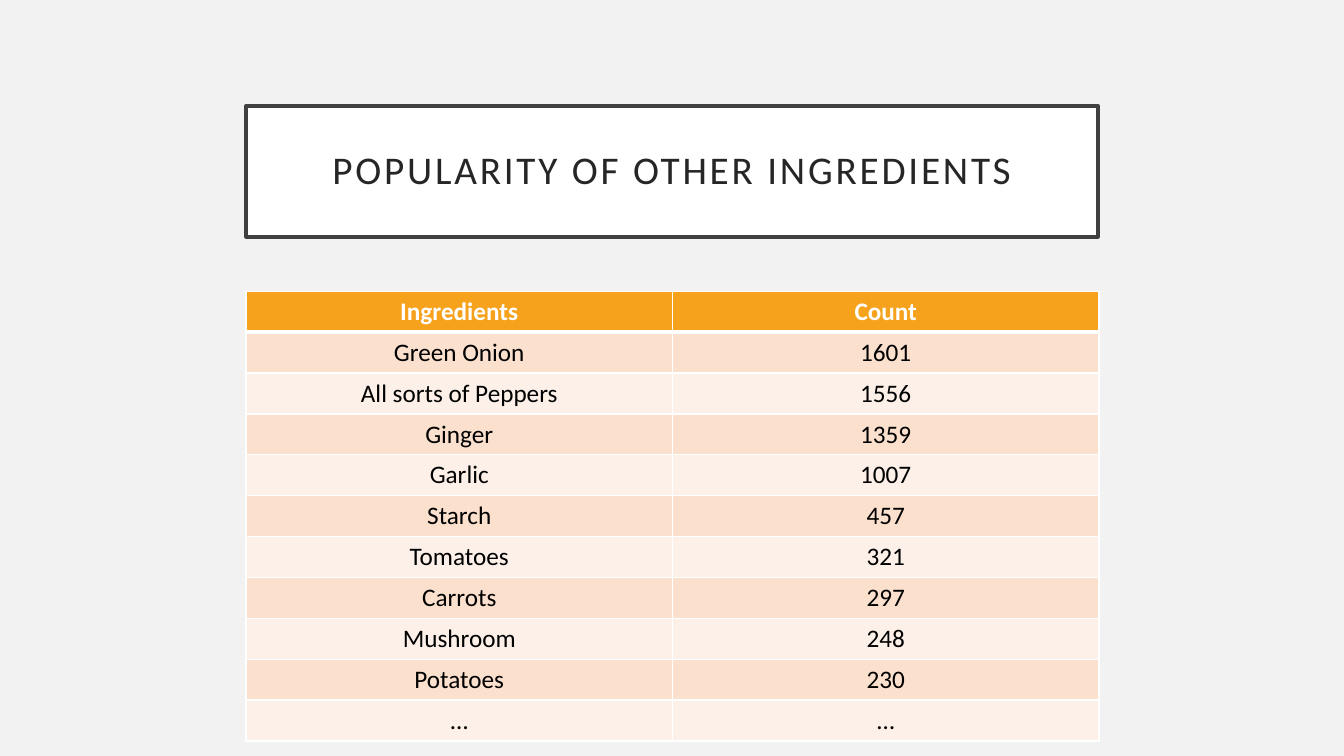
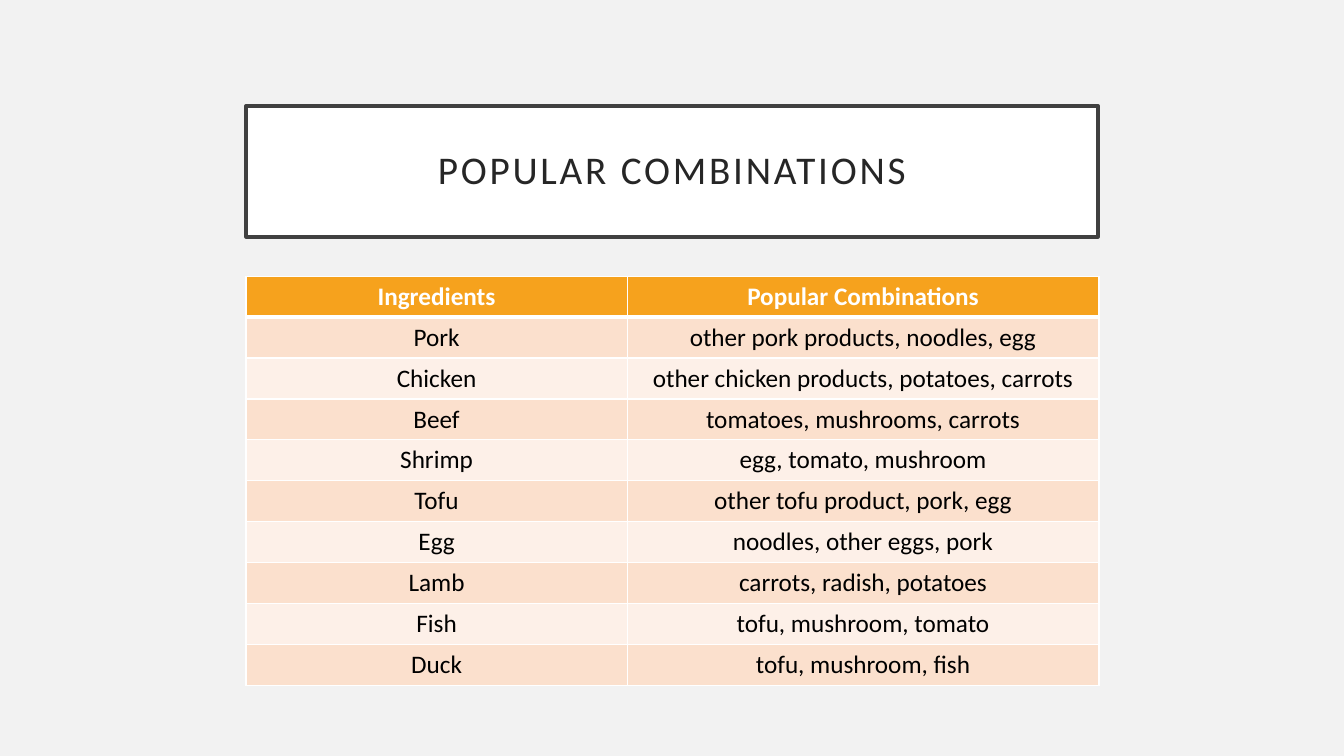
from dataclasses import dataclass

from lxml.etree import SubElement
from pptx import Presentation
from pptx.dml.color import RGBColor
from pptx.enum.shapes import MSO_SHAPE
from pptx.enum.text import MSO_ANCHOR, PP_ALIGN
from pptx.oxml.ns import qn
from pptx.slide import Slide
from pptx.table import _Cell
from pptx.text.text import TextFrame
from pptx.util import Inches, Pt

COLORS = {
    "back": "F2F2F2",
    "white": "FFFFFF",
    "frame": "404040",
    "title": "262626",
    "head": "F6A21D",
    "dark": "FBE0CD",
    "light": "FDF0E8",
    "text": "000000",
}
FONT = "Calibri"
LEFT, WIDTH = 2.44, 8.45


@dataclass
class Page:
    title: str
    top: float
    height: float
    widths: tuple[float, float]
    rows: list[tuple[str, str]]


PAGES = [
    Page("POPULARITY OF OTHER INGREDIENTS", 2.89, 4.46, (4.23, 4.23), [
        ("Ingredients", "Count"),
        ("Green Onion", "1601"),
        ("All sorts of Peppers", "1556"),
        ("Ginger", "1359"),
        ("Garlic", "1007"),
        ("Starch", "457"),
        ("Tomatoes", "321"),
        ("Carrots", "297"),
        ("Mushroom", "248"),
        ("Potatoes", "230"),
        ("…", "…"),
    ]),
    Page("POPULAR COMBINATIONS", 2.74, 4.06, (3.78, 4.68), [
        ("Ingredients", "Popular Combinations"),
        ("Pork", "other pork products, noodles, egg"),
        ("Chicken", "other chicken products, potatoes, carrots"),
        ("Beef", "tomatoes, mushrooms, carrots"),
        ("Shrimp", "egg, tomato, mushroom"),
        ("Tofu", "other tofu product, pork, egg"),
        ("Egg", "noodles, other eggs, pork"),
        ("Lamb", "carrots, radish, potatoes"),
        ("Fish", "tofu, mushroom, tomato"),
        ("Duck", "tofu, mushroom, fish"),
    ]),
]


def tint(name: str) -> RGBColor:
    return RGBColor.from_string(COLORS[name])


def write(frame: TextFrame, text: str, size: int, color: str, bold: bool = False) -> None:
    frame.text = text
    line = frame.paragraphs[0]
    line.alignment = PP_ALIGN.CENTER
    font = line.runs[0].font
    font.name, font.size, font.bold = FONT, Pt(size), bold
    font.color.rgb = tint(color)


def draw_title(slide: Slide, text: str) -> None:
    box = slide.shapes.add_shape(
        MSO_SHAPE.RECTANGLE, Inches(LEFT), Inches(1.05), Inches(WIDTH), Inches(1.3))
    box.shadow.inherit = False
    box.fill.solid()
    box.fill.fore_color.rgb = tint("white")
    box.line.color.rgb = tint("frame")
    box.line.width = Pt(2.5)
    frame = box.text_frame
    frame.word_wrap = True
    frame.vertical_anchor = MSO_ANCHOR.MIDDLE
    frame.margin_left = frame.margin_right = Inches(0.2)
    frame.margin_top = frame.margin_bottom = Inches(0.2)
    write(frame, text, 28, "title")
    line = frame.paragraphs[0]
    line.line_spacing = 0.9
    line.runs[0].font._element.set("spc", "200")


def draw_edges(cell: _Cell, row: int) -> None:
    edges = {"lnL": 1, "lnR": 1, "lnT": 3 if row == 1 else 1, "lnB": 3 if row == 0 else 1}
    props = cell._tc.get_or_add_tcPr()
    for tag, width in edges.items():
        edge = SubElement(props, qn(f"a:{tag}"), w=str(Pt(width)))
        fill = SubElement(edge, qn("a:solidFill"))
        SubElement(fill, qn("a:srgbClr"), val=COLORS["white"])


def draw_table(slide: Slide, page: Page) -> None:
    table = slide.shapes.add_table(
        len(page.rows), len(page.widths), Inches(LEFT), Inches(page.top),
        Inches(WIDTH), Inches(page.height)).table
    for column, width in zip(table.columns, page.widths):
        column.width = Inches(width)
    for row, texts in enumerate(page.rows):
        head = row == 0
        shade = "head" if head else "dark" if row % 2 else "light"
        for col, text in enumerate(texts):
            cell = table.cell(row, col)
            write(cell.text_frame, text, 18, "white" if head else "text", head)
            draw_edges(cell, row)
            cell.fill.solid()
            cell.fill.fore_color.rgb = tint(shade)


def main() -> None:
    deck = Presentation()
    deck.slide_width, deck.slide_height = Inches(13.33), Inches(7.5)
    back = deck.slide_master.background.fill
    back.solid()
    back.fore_color.rgb = tint("back")
    for page in PAGES:
        slide = deck.slides.add_slide(deck.slide_layouts[6])
        draw_title(slide, page.title)
        draw_table(slide, page)
    deck.save("out.pptx")


main()
